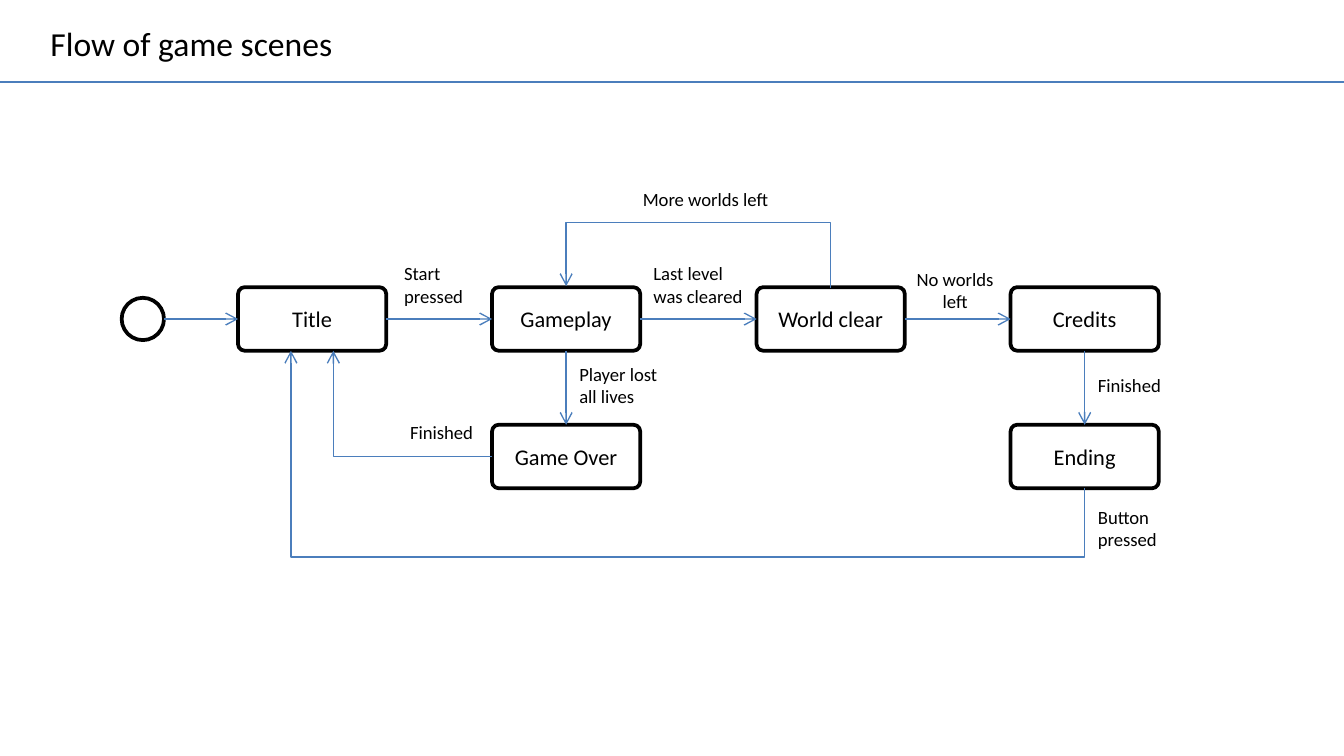
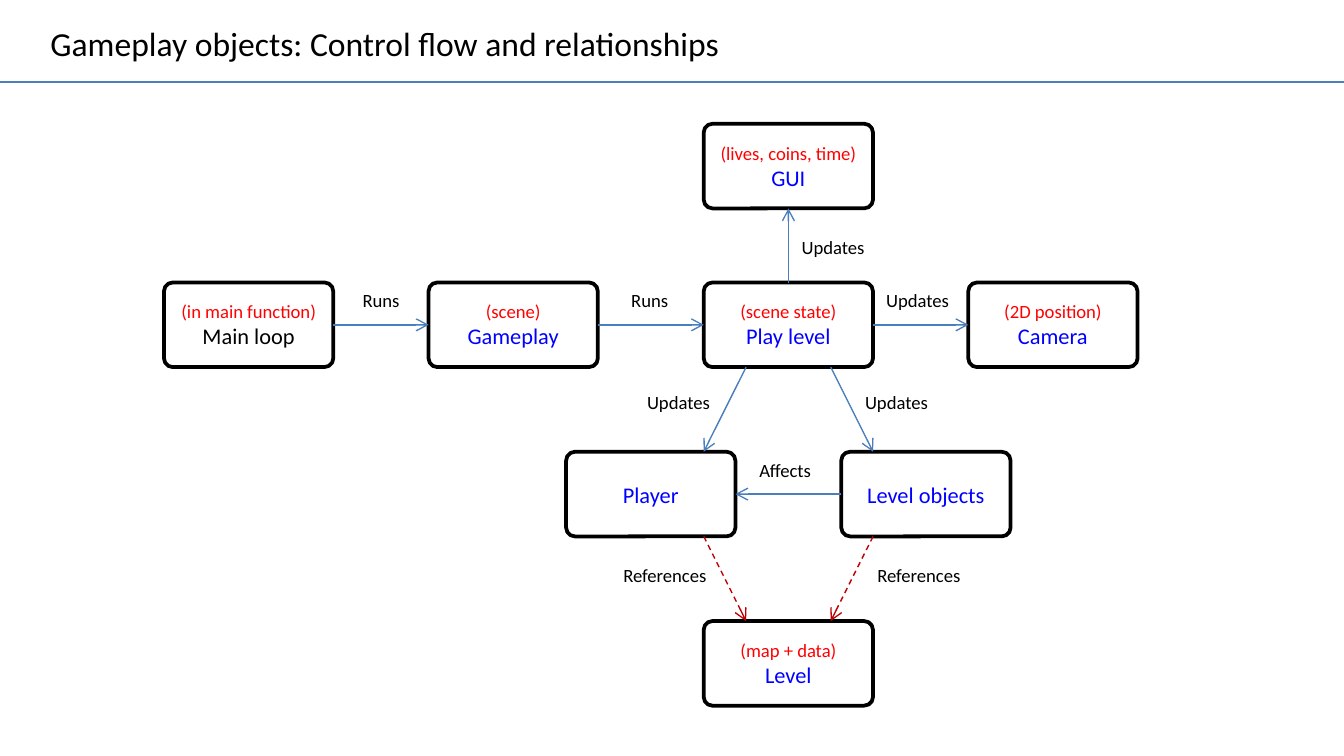
from dataclasses import dataclass

from lxml import etree
from pptx import Presentation
from pptx import util as u
from pptx.dml import color
from pptx.enum import dml, shapes, text
from pptx.oxml import ns

TOP, LEFT, BOTTOM, RIGHT = range(4)  # connection sites of a box


@dataclass(frozen=True)
class Theme:
    """Colours, type sizes (pt) and line widths (pt)."""
    font: str = "Calibri"
    ink: str = "000000"
    paper: str = "FFFFFF"
    arrow: str = "4B7EBC"
    refer: str = "C00000"
    name: str = "0000FF"
    note: str = "FF0000"
    title: int = 18
    body: int = 12
    label: int = 10
    thick: float = 2
    thin: float = 0.75
    corner: float = 0.104


def put(item, **values):
    """Set each named attribute on an item."""
    for key, value in values.items():
        setattr(item, key, value)


def rgb(code):
    """Turn a hex code into a colour."""
    return color.RGBColor.from_string(code)


class Deck:
    """Holds the style and the current slide."""

    def __init__(self, theme):
        """Start an empty wide deck."""
        self.look = theme
        self.show = Presentation()
        put(self.show, slide_width=u.Cm(25.4), slide_height=u.Cm(14.29))

    def page(self, title, width):
        """Add a slide with its title and the rule below."""
        self.slide = self.show.slides.add_slide(self.show.slide_layouts[5])
        head = self.slide.shapes.title
        put(head, left=u.Cm(0.7), top=u.Cm(0.3),
            width=u.Cm(width), height=u.Cm(1.02))
        put(head.text_frame, word_wrap=True, vertical_anchor=text.MSO_ANCHOR.TOP,
            auto_size=text.MSO_AUTO_SIZE.SHAPE_TO_FIT_TEXT)
        self.words(head, [(title, self.look.title, self.look.ink)])
        self.line((0, 1.55), (25.4, 1.55), arrow=False)

    def words(self, shape, lines, center=False):
        """Fill a shape with lines of (wording, size, colour)."""
        frame = shape.text_frame
        for row, (wording, size, ink) in enumerate(lines):
            par = frame.paragraphs[0] if row == 0 else frame.add_paragraph()
            par.alignment = text.PP_ALIGN.CENTER if center else text.PP_ALIGN.LEFT
            run = par.add_run()
            run.text = wording
            put(run.font, name=self.look.font, size=u.Pt(size))
            run.font.color.rgb = rgb(ink)

    def shape(self, kind, x, y, w, h, fill):
        """Draw a black outline, filled with white or clear."""
        item = self.slide.shapes.add_shape(kind, *map(u.Cm, (x, y, w, h)))
        item.shadow.inherit = False
        if fill:
            item.fill.solid()
            item.fill.fore_color.rgb = rgb(self.look.paper)
        else:
            item.fill.background()
        item.line.color.rgb = rgb(self.look.ink)
        item.line.width = u.Pt(self.look.thick)
        return item

    def box(self, name, x, y, size, note="", ink=None, fill=False):
        """Draw a rounded box with a name and a small note above it."""
        item = self.shape(shapes.MSO_SHAPE.ROUNDED_RECTANGLE, x, y, *size, fill)
        item.adjustments[0] = self.look.corner
        put(item.text_frame, word_wrap=True, vertical_anchor=text.MSO_ANCHOR.MIDDLE)
        lines = [(note, self.look.label, self.look.note)] if note else []
        lines.append((name, self.look.body, ink or self.look.ink))
        self.words(item, lines, center=True)
        return item

    def label(self, wording, x, y, w, wrap=False, tall=False, center=False):
        """Place a small text beside an arrow."""
        item = self.slide.shapes.add_textbox(
            *map(u.Cm, (x, y, w, 1.12 if tall else 0.68)))
        put(item.text_frame, word_wrap=wrap,
            auto_size=text.MSO_AUTO_SIZE.SHAPE_TO_FIT_TEXT)
        self.words(item, [(part, self.look.label, self.look.ink)
                          for part in wording.split("\n")], center)

    def line(self, start, end, ink=None, dash=False, arrow=True,
             kind=shapes.MSO_CONNECTOR.STRAIGHT):
        """Draw a thin line between two points."""
        item = self.slide.shapes.add_connector(kind, *map(u.Cm, start + end))
        item.line.color.rgb = rgb(ink or self.look.arrow)
        item.line.width = u.Pt(self.look.thin)
        if dash:
            item.line.dash_style = dml.MSO_LINE.DASH
        props = item._element.spPr
        if arrow:
            etree.SubElement(props.find(ns.qn("a:ln")), ns.qn("a:tailEnd"), type="arrow")
        etree.SubElement(props, ns.qn("a:effectLst"))
        return item

    def link(self, first, out, last, into):
        """Join two boxes with an arrow at the given sides."""
        item = self.line((0, 0), (1, 1))
        item.begin_connect(first, out)
        item.end_connect(last, into)

    def bend(self, start, end, turn, bends, flip=None):
        """Draw an elbow arrow; bends are shares of its turned frame."""
        w, h = abs(end[0] - start[0]), abs(end[1] - start[1])
        if turn % 180:
            w, h = h, w
        x, y = ((a + b) / 2 for a, b in zip(start, end))
        item = self.line((x - w / 2, y - h / 2), (x + w / 2, y + h / 2),
                         kind=shapes.MSO_CONNECTOR.ELBOW)
        frame = item._element.spPr.find(ns.qn("a:xfrm"))
        frame.set("rot", str(turn * 60000))
        if flip:
            frame.set(flip, "1")
        geom = item._element.spPr.find(ns.qn("a:prstGeom"))
        geom.set("prst", f"bentConnector{len(bends) + 2}")
        guides = geom.find(ns.qn("a:avLst"))
        for spot, share in enumerate(bends, 1):
            etree.SubElement(guides, ns.qn("a:gd"), name=f"adj{spot}",
                             fmla=f"val {round(share * 100000)}")


def scenes(deck):
    """Build the flow of scenes."""
    deck.page("Flow of game scenes", 6)
    size = wide, high = 2.8, 1.2
    row, low = 5.43, 8.03
    mid = row + high / 2
    cols = 4.5, 9.3, 14.3, 19.1
    names = "Title", "Gameplay", "World clear", "Credits"
    main = [deck.box(name, x, row, size, fill=True) for name, x in zip(names, cols)]
    over = deck.box("Game Over", cols[1], low, size, fill=True)
    ending = deck.box("Ending", cols[3], low, size, fill=True)

    deck.shape(shapes.MSO_SHAPE.OVAL, 2.3, mid - 0.4, 0.8, 0.8, True)
    deck.line((3.1, mid), (cols[0], mid))
    for first, last in zip(main, main[1:]):
        deck.link(first, RIGHT, last, LEFT)
    deck.link(main[1], BOTTOM, over, TOP)
    deck.link(main[3], BOTTOM, ending, TOP)

    base = row + high
    deck.bend((cols[3] + wide / 2, low + high), (5.5, base), 90, (-0.5, 1), "flipH")
    deck.bend((cols[1], low + high / 2), (6.3, base), 180, (1,))
    deck.bend((cols[2] + wide / 2, row + 0.02), (cols[1] + wide / 2, row - 0.02),
              270, (31,), "flipV")

    deck.label("Start pressed", 7.39, 4.83, 1.73, wrap=True, tall=True)
    deck.label("Last level\nwas cleared", 12.1, 4.83, 2.23, tall=True)
    deck.label("Player lost\nall lives", 10.7, 6.73, 2, tall=True)
    deck.label("No worlds left", 17, 4.93, 2.1, wrap=True, tall=True, center=True)
    deck.label("Button pressed", 20.5, 9.43, 1.73, wrap=True, tall=True)
    deck.label("Finished", 7.5, 7.83, 1.73)
    deck.label("Finished", 20.5, 6.95, 1.73)
    deck.label("More worlds left", 11.9, 3.43, 2.92)


def objects(deck):
    """Build the map of gameplay objects."""
    deck.page("Gameplay objects: Control flow and relationships", 13.2)
    size = wide, high = 3.2, 1.6
    blue = deck.look.name
    cols = 3.1, 8.1, 13.3, 18.3
    rows = [5.34 + step * 2 * high for step in range(3)]
    hub = cols[2]
    side = 2.6  # shift of the lower pair from the hub

    loop = deck.box("Main loop", cols[0], rows[0], size, "(in main function)", fill=True)
    game = deck.box("Gameplay", cols[1], rows[0], size, "(scene)", blue)
    play = deck.box("Play level", hub, rows[0], size, "(scene state)", blue)
    view = deck.box("Camera", cols[3], rows[0], size, "(2D position)", blue)
    gui = deck.box("GUI", hub, 2.34, size, "(lives, coins, time)", blue)
    hero = deck.box("Player", hub - side, rows[1], size, ink=blue)
    things = deck.box("Level objects", hub + side, rows[1], size, ink=blue)
    deck.box("Level", hub, rows[2], size, "(map + data)", blue)

    for first, out, last, into in (
            (loop, RIGHT, game, LEFT), (game, RIGHT, play, LEFT),
            (play, RIGHT, view, LEFT), (play, TOP, gui, BOTTOM),
            (things, LEFT, hero, RIGHT)):
        deck.link(first, out, last, into)
    axis = hub + wide / 2
    for sign in (-1, 1):
        near, far = axis + sign * wide / 4, axis + sign * wide / 2
        deck.line((near, rows[0] + high), (far, rows[1]))
        deck.line((far, rows[1] + high), (near, rows[2]), deck.look.refer, dash=True)

    deck.label("Runs", 6.5, rows[0], 1.4, wrap=True, center=True)
    deck.label("Runs", 11.68, rows[0], 1.22)
    for x, y in ((axis, 4.34), (hub + wide, rows[0]), (11.98, 7.26), (16.1, 7.26)):
        deck.label("Updates", x, y, 1.73)
    deck.label("Affects", 14.1, rows[1], 1.52)
    for x in (11.5, 16.3):
        deck.label("References", x, 10.54, 2.13, center=True)


deck = Deck(Theme())
scenes(deck)
objects(deck)
deck.show.save("out.pptx")
